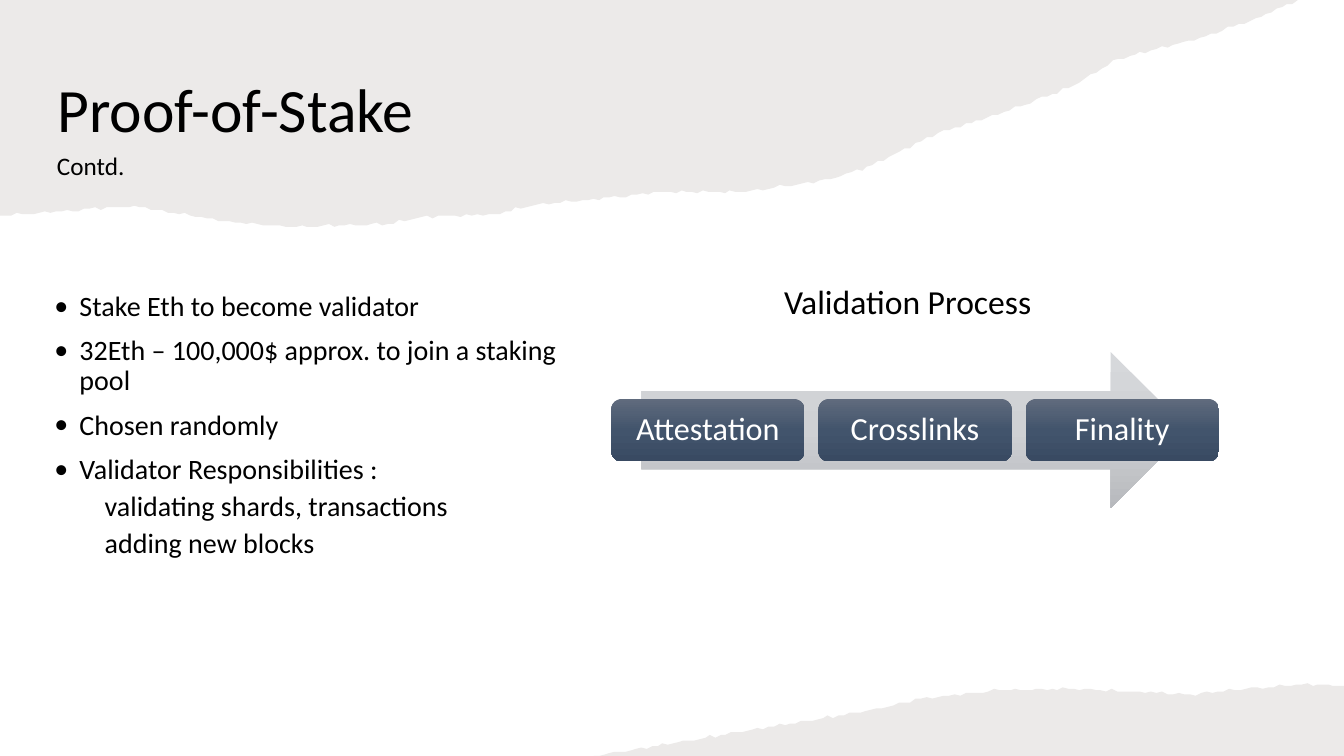
from dataclasses import dataclass
from itertools import pairwise
from math import ceil, sin

from pptx import Presentation
from pptx.dml.color import RGBColor
from pptx.enum.shapes import MSO_SHAPE
from pptx.enum.text import MSO_ANCHOR, PP_ALIGN
from pptx.oxml.xmlchemy import OxmlElement
from pptx.util import Pt

ARROW = MSO_SHAPE.RIGHT_ARROW
ROUNDED = MSO_SHAPE.ROUNDED_RECTANGLE
TOP, MIDDLE = MSO_ANCHOR.TOP, MSO_ANCHOR.MIDDLE
LEFT, CENTER = PP_ALIGN.LEFT, PP_ALIGN.CENTER

# All lengths are in points
SLIDE_W, SLIDE_H = 960, 540
FONT = "Calibri"
COLORS = {
    "text": "000000",
    "step_text": "FFFFFF",
    "paper": "ECEAE9",
}
# Top, middle and bottom colour of the vertical gradients
GRADIENTS = {
    "arrow": ("D6D8DB", "CFD1D4", "B7B9BD"),
    "step": ("606B7D", "42546C", "394A62"),
}

Point = tuple[float, float]


@dataclass
class Box:
    left: float
    top: float
    width: float
    height: float


@dataclass
class Paper:
    """A sheet with straight corners and one torn edge through its bends."""
    corners: list[Point]
    bends: list[Point]


@dataclass
class Line:
    text: str
    size: float
    color: str = "text"
    align: PP_ALIGN = LEFT
    spacing: float = 1.0
    before: float = 0
    margin: float = 0
    bullet: bool = False


TOP_PAPER = Paper(
    corners=[(SLIDE_W * 0.96, 0), (0, 0)],
    bends=[(0, 154), (96, 147), (160, 158), (204, 162), (277, 160), (301, 155),
           (353, 153), (380, 147), (475, 137), (533, 137), (593, 128), (623, 118),
           (670, 95), (721, 79), (763, 63), (799, 42), (857, 27), (893, 15), (927, 0)])
BOTTOM_PAPER = Paper(
    corners=[(SLIDE_W, SLIDE_H)],
    bends=[(424, 540), (481, 531), (526, 523), (576, 515), (630, 506), (658, 499),
           (714, 493), (763, 492), (810, 494), (850, 496), (890, 492), (930, 489),
           (960, 490)])


def rgb(name: str) -> RGBColor:
    return RGBColor.from_string(COLORS[name])


def torn_edge(bends: list[Point], step: float = 4, depth: float = 0.6) -> list[Point]:
    """Walk from bend to bend in short steps, adding a small uneven ripple."""
    edge = [bends[0]]
    for (x0, y0), (x1, y1) in pairwise(bends):
        count = ceil((x1 - x0) / step)
        for i in range(1, count):
            x = x0 + (x1 - x0) * i / count
            y = y0 + (y1 - y0) * i / count
            ripple = depth * (sin(0.9 * x) + sin(0.37 * x))
            edge.append((x, min(max(y + ripple, 0), SLIDE_H)))
        edge.append((x1, y1))
    return edge


def add_paper(slide, paper: Paper) -> None:
    start, *rest = torn_edge(paper.bends) + paper.corners
    builder = slide.shapes.build_freeform(*start, scale=Pt(1))
    builder.add_line_segments(rest, close=True)
    sp = builder.convert_to_shape()
    sp.shadow.inherit = False
    sp.fill.solid()
    sp.fill.fore_color.rgb = rgb("paper")
    sp.line.fill.background()


def add_child(parent, tag: str, **attributes: str):
    child = OxmlElement(tag)
    for name, value in attributes.items():
        child.set(name, value)
    parent.append(child)
    return child


def write_lines(tf, lines: list[Line], anchor: MSO_ANCHOR, wrap: bool) -> None:
    tf.word_wrap = wrap
    tf.vertical_anchor = anchor
    for i, line in enumerate(lines):
        p = tf.add_paragraph() if i else tf.paragraphs[0]
        p.alignment = line.align
        p.line_spacing = line.spacing
        p.space_before = Pt(line.before)
        p_pr = p._p.get_or_add_pPr()
        p_pr.set("marL", str(Pt(line.margin)))
        p_pr.set("indent", str(Pt(-line.margin if line.bullet else 0)))
        if line.bullet:
            add_child(p_pr, "a:buFont", typeface=FONT)
            add_child(p_pr, "a:buChar", char="•")
        r = p.add_run()
        r.text = line.text
        r.font.name = FONT
        r.font.size = Pt(line.size)
        r.font.color.rgb = rgb(line.color)


def add_text(slide, box: Box, lines: list[Line], anchor: MSO_ANCHOR = TOP,
             wrap: bool = True) -> None:
    sp = slide.shapes.add_textbox(
        Pt(box.left), Pt(box.top), Pt(box.width), Pt(box.height))
    write_lines(sp.text_frame, lines, anchor, wrap)


def add_gradient_shape(slide, kind: MSO_SHAPE, box: Box, gradient: str):
    sp = slide.shapes.add_shape(
        kind, Pt(box.left), Pt(box.top), Pt(box.width), Pt(box.height))
    sp.shadow.inherit = False
    sp.line.fill.background()
    # Evenly spaced stops running downwards
    grad = OxmlElement("a:gradFill")
    stops = add_child(grad, "a:gsLst")
    for i, color in enumerate(GRADIENTS[gradient]):
        stop = add_child(stops, "a:gs", pos=str(i * 50000))
        add_child(stop, "a:srgbClr", val=color)
    add_child(grad, "a:lin", ang="5400000", scaled="0")
    # The fill follows the position and the outline of the shape
    sp._element.spPr.insert(2, grad)
    return sp


def add_headings(slide) -> None:
    add_text(slide, Box(33.84, 28.08, 739.44, 105.12),
             [Line("Proof-of-Stake", 44, spacing=0.9)], anchor=MIDDLE)
    add_text(slide, Box(33.6, 103.68, 63.36, 28.8), [Line("Contd.", 18)], wrap=False)
    add_text(slide, Box(552.96, 197.28, 192.96, 36),
             [Line("Validation Process", 24)], wrap=False)


def add_bullet_list(slide) -> None:
    points = ["Stake Eth to become validator",
              "32Eth – 100,000$ approx. to join a staking pool",
              "Chosen randomly",
              "Validator Responsibilities :"]
    duties = ["validating shards, transactions", "adding new blocks"]
    lines = [Line(t, 20, spacing=0.9, before=10, margin=18, bullet=True) for t in points]
    lines += [Line(t, 20, spacing=0.9, before=5, margin=36) for t in duties]
    add_text(slide, Box(31.68, 205.2, 375.12, 261.36), lines)


def add_process(slide) -> None:
    arrow = Box(458.2, 251.5, 390.96, 111.6)
    add_gradient_shape(slide, ARROW, arrow, "arrow")

    # Equal steps, centred on the arrow in both directions
    steps = ["Attestation", "Crosslinks", "Finality"]
    width, height, gap = 138, 44.64, 10
    row_width = len(steps) * width + (len(steps) - 1) * gap
    left = arrow.left + (arrow.width - row_width) / 2
    top = arrow.top + (arrow.height - height) / 2
    for i, step in enumerate(steps):
        box = Box(left + i * (width + gap), top, width, height)
        sp = add_gradient_shape(slide, ROUNDED, box, "step")
        write_lines(sp.text_frame, [Line(step, 23, "step_text", CENTER, 0.9)],
                    MIDDLE, True)


def main() -> None:
    prs = Presentation()
    prs.slide_width, prs.slide_height = Pt(SLIDE_W), Pt(SLIDE_H)
    slide = prs.slides.add_slide(prs.slide_layouts[6])
    for paper in (TOP_PAPER, BOTTOM_PAPER):
        add_paper(slide, paper)
    add_headings(slide)
    add_bullet_list(slide)
    add_process(slide)
    prs.save("out.pptx")


if __name__ == "__main__":
    main()
